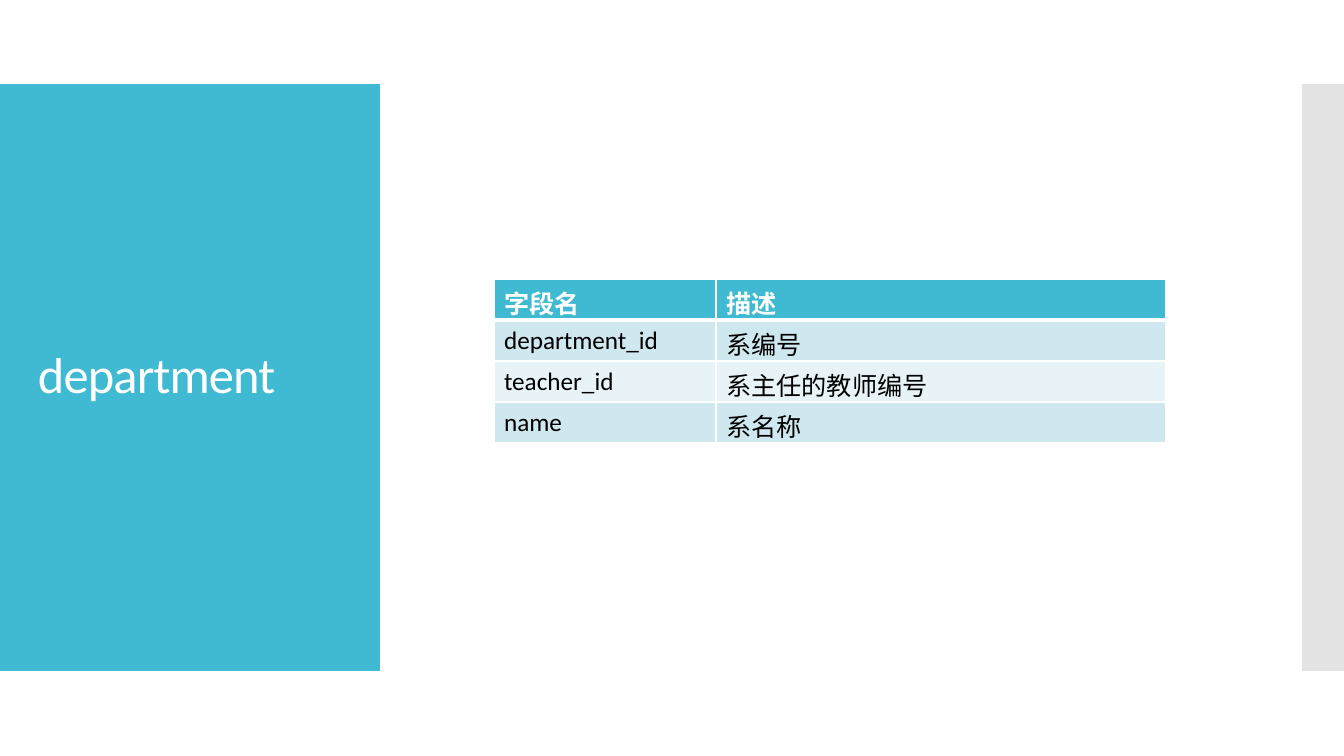
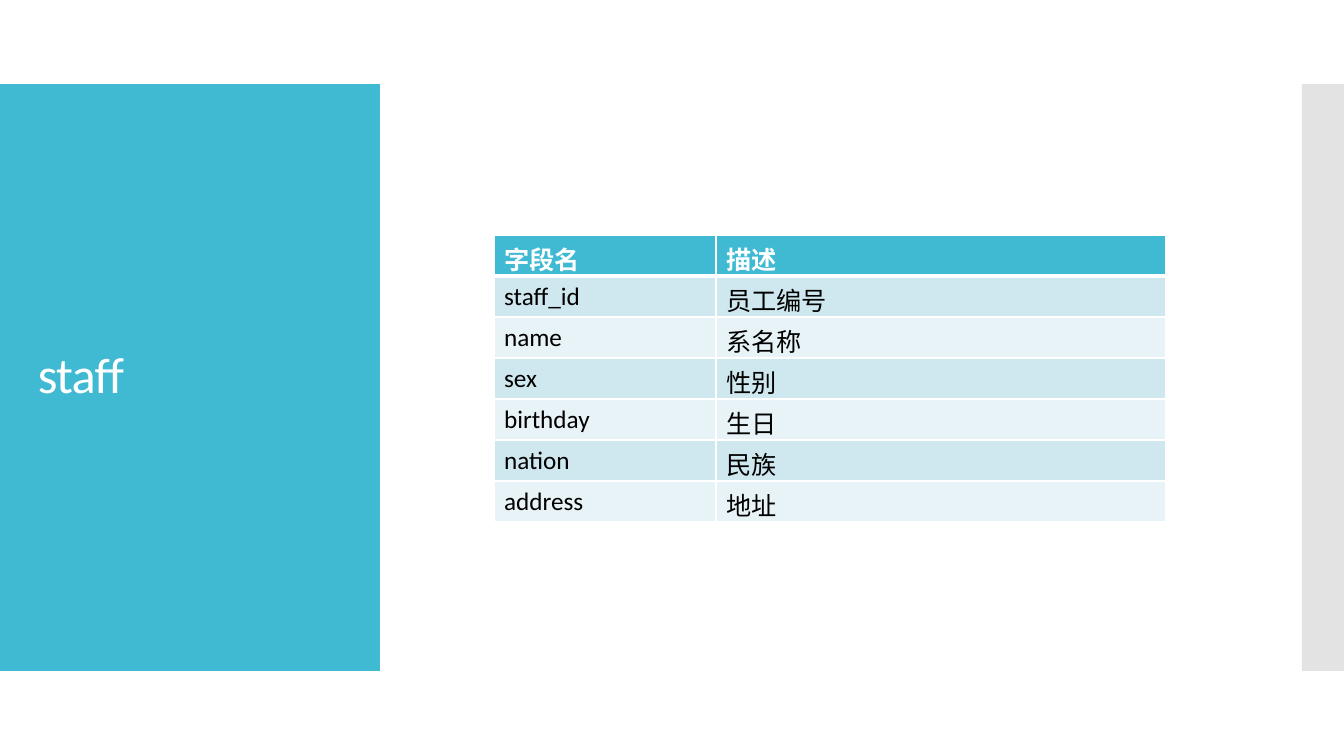
"""Build two slides that describe the fields of database tables."""

from dataclasses import dataclass

from lxml import etree
from pptx import Presentation
from pptx.dml.color import RGBColor
from pptx.enum.shapes import MSO_SHAPE
from pptx.enum.text import MSO_ANCHOR
from pptx.oxml.ns import qn
from pptx.slide import Slide
from pptx.table import _Cell
from pptx.text.text import _Paragraph
from pptx.util import Emu, Pt

RECTANGLE = MSO_SHAPE.RECTANGLE
MIDDLE = MSO_ANCHOR.MIDDLE
EMU_PER_PIXEL = 12192000 / 1344


@dataclass(frozen=True)
class Theme:
    font: str = "Calibri"
    accent: str = "40BAD2"
    edge: str = "C8C8C8"
    light: str = "FFFFFF"
    dark: str = "000000"
    stripes: tuple[str, str] = ("CFE7EE", "E8F3F7")
    title_size: int = 36
    cell_size: int = 18
    title_spacing: int = -60
    line_spacing: float = 0.9
    rule: int = 1
    header_rule: int = 3


@dataclass(frozen=True)
class Area:
    left: int
    top: int
    width: int
    height: int

    def emu(self) -> tuple[Emu, Emu, Emu, Emu]:
        return px(self.left), px(self.top), px(self.width), px(self.height)


@dataclass(frozen=True)
class Band:
    area: Area
    color: str
    opacity: int


@dataclass(frozen=True)
class FieldPage:
    title: str
    table_top: int
    fields: tuple[tuple[str, str], ...]


THEME = Theme()
BANDS = (
    Band(Area(0, 84, 380, 587), THEME.accent, 100),
    Band(Area(1302, 84, 42, 587), THEME.edge, 50),
)
TITLE_AREA = Area(28, 124, 325, 507)
TABLE_LEFT = 494
COLUMN_WIDTHS = (222, 450)
ROW_HEIGHT = 41
HEADER = ("字段名", "描述")
PAGES = (
    FieldPage("department", 279, (
        ("department_id", "系编号"),
        ("teacher_id", "系主任的教师编号"),
        ("name", "系名称"),
    )),
    FieldPage("staff", 235, (
        ("staff_id", "员工编号"),
        ("name", "系名称"),
        ("sex", "性别"),
        ("birthday", "生日"),
        ("nation", "民族"),
        ("address", "地址"),
    )),
)


def px(pixels: int) -> Emu:
    return Emu(round(pixels * EMU_PER_PIXEL))


def add_span(para: _Paragraph, text: str, size: int, color: str,
             bold: bool = False, spacing: int = 0) -> None:
    span = para.add_run()
    span.text = text
    span.font.name = THEME.font
    span.font.size = Pt(size)
    span.font.bold = bold
    span.font.color.rgb = RGBColor.from_string(color)
    if spacing:
        span.font._element.set("spc", str(spacing))


def draw_band(page: Slide, band: Band) -> None:
    shape = page.shapes.add_shape(RECTANGLE, *band.area.emu())
    shape.shadow.inherit = False
    shape.line.fill.background()
    shape.fill.solid()
    shape.fill.fore_color.rgb = RGBColor.from_string(band.color)
    if band.opacity < 100:
        color = shape._element.spPr.find(f"{qn('a:solidFill')}/{qn('a:srgbClr')}")
        etree.SubElement(color, qn("a:alpha"), val=str(band.opacity * 1000))


def draw_title(page: Slide, text: str) -> None:
    frame = page.shapes.add_textbox(*TITLE_AREA.emu()).text_frame
    frame.word_wrap = True
    frame.vertical_anchor = MIDDLE
    para = frame.paragraphs[0]
    para.line_spacing = THEME.line_spacing
    add_span(para, text, THEME.title_size, THEME.light, spacing=THEME.title_spacing)


def set_borders(cell: _Cell, top: int, bottom: int) -> None:
    properties = cell._tc.get_or_add_tcPr()
    widths = {"lnL": THEME.rule, "lnR": THEME.rule, "lnT": top, "lnB": bottom}
    for side, width in widths.items():
        line = etree.SubElement(properties, qn(f"a:{side}"), w=str(Pt(width)))
        fill = etree.SubElement(line, qn("a:solidFill"))
        etree.SubElement(fill, qn("a:srgbClr"), val=THEME.light)


def draw_cell(cell: _Cell, text: str, row: int) -> None:
    is_header = row == 0
    set_borders(
        cell,
        top=THEME.header_rule if row == 1 else THEME.rule,
        bottom=THEME.header_rule if is_header else THEME.rule,
    )
    background = THEME.accent if is_header else THEME.stripes[(row - 1) % 2]
    cell.fill.solid()
    cell.fill.fore_color.rgb = RGBColor.from_string(background)
    color = THEME.light if is_header else THEME.dark
    add_span(cell.text_frame.paragraphs[0], text, THEME.cell_size, color, is_header)


def draw_table(page: Slide, content: FieldPage) -> None:
    rows = (HEADER, *content.fields)
    area = Area(TABLE_LEFT, content.table_top, sum(COLUMN_WIDTHS), ROW_HEIGHT * len(rows))
    table = page.shapes.add_table(len(rows), len(HEADER), *area.emu()).table
    for column, width in zip(table.columns, COLUMN_WIDTHS):
        column.width = px(width)
    for row, texts in enumerate(rows):
        table.rows[row].height = px(ROW_HEIGHT)
        for column, text in enumerate(texts):
            draw_cell(table.cell(row, column), text, row)


def main() -> None:
    deck = Presentation()
    deck.slide_width, deck.slide_height = px(1344), px(756)
    blank = deck.slide_layouts[6]
    for content in PAGES:
        page = deck.slides.add_slide(blank)
        for band in BANDS:
            draw_band(page, band)
        draw_title(page, content.title)
        draw_table(page, content)
    deck.save("out.pptx")


main()
